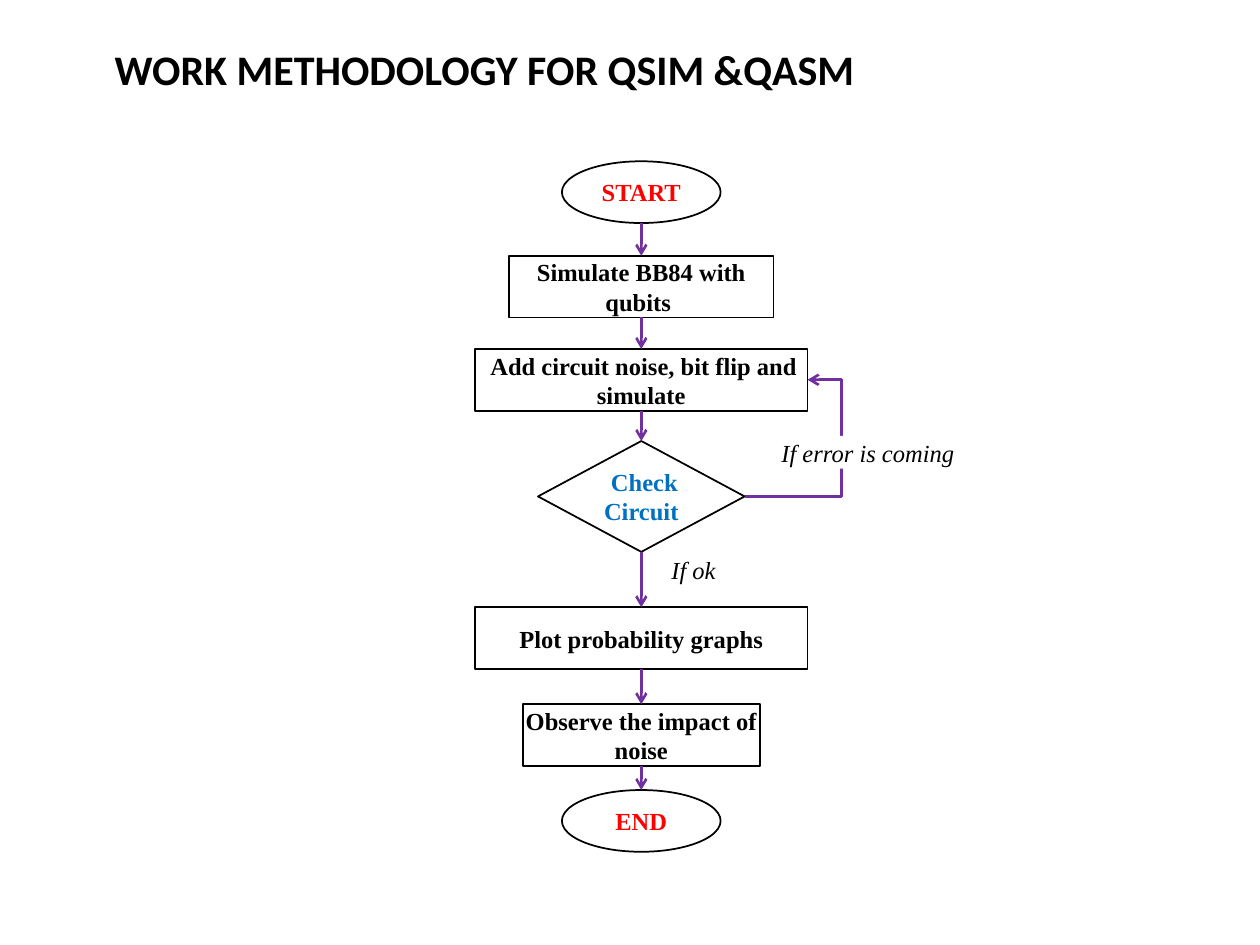
"""Build the work methodology flowchart slide."""
from dataclasses import dataclass
from itertools import pairwise

from lxml.etree import SubElement
from pptx import Presentation
from pptx.dml.color import RGBColor
from pptx.enum.shapes import MSO_CONNECTOR, MSO_SHAPE
from pptx.enum.text import MSO_ANCHOR, MSO_AUTO_SIZE, PP_ALIGN
from pptx.oxml.ns import qn
from pptx.shapes.autoshape import Shape
from pptx.shapes.connector import Connector
from pptx.slide import Slide
from pptx.text.text import TextFrame
from pptx.util import Inches, Pt

BLACK, WHITE, RED, BLUE, PURPLE = "000000", "FFFFFF", "FF0000", "0070C0", "7030A0"
CENTER = 5.09
TOP, LEFT, BOTTOM, RIGHT = range(4)


@dataclass(frozen=True)
class Step:
    """A step of the flowchart, centred on the main axis."""

    text: str
    top: float
    width: float
    height: float = 0.49
    kind: MSO_SHAPE = MSO_SHAPE.RECTANGLE
    color: str = BLACK


@dataclass(frozen=True)
class Label:
    """A caption beside a branch of the flowchart."""

    text: str
    left: float
    top: float
    width: float
    height: float
    fill: str | None = None


STEPS = [
    Step("START", 1.28, 1.26, kind=MSO_SHAPE.OVAL, color=RED),
    Step("Simulate BB84 with qubits ", 2.03, 2.1),
    Step(" Add circuit noise, bit flip and simulate", 2.77, 2.64),
    Step(" Check Circuit", 3.5, 1.64, 0.88, MSO_SHAPE.FLOWCHART_DECISION, BLUE),
    Step("Plot probability graphs", 4.82, 2.64),
    Step("Observe the impact of noise", 5.59, 1.88),
    Step("END", 6.27, 1.26, kind=MSO_SHAPE.OVAL, color=RED),
]
LABELS = [
    Label(" If ok", 5.09, 4.35, 0.78, 0.34),
    Label(" If error is coming", 5.7, 3.46, 2.33, 0.26, WHITE),
]


def rgb(color: str) -> RGBColor:
    """Turn a hex string into a colour."""
    return RGBColor.from_string(color)


def write_text(frame: TextFrame, text: str, color: str, bold: bool, italic: bool) -> None:
    """Write centred text without margins."""
    frame.text = text
    frame.word_wrap = True
    frame.vertical_anchor = MSO_ANCHOR.MIDDLE
    frame.margin_left = frame.margin_right = frame.margin_top = frame.margin_bottom = 0
    paragraph = frame.paragraphs[0]
    paragraph.alignment = PP_ALIGN.CENTER
    font = paragraph.font
    font.name, font.size, font.bold, font.italic = "Times New Roman", Pt(14), bold, italic
    font.color.rgb = rgb(color)


def add_title(slide: Slide, text: str) -> None:
    """Place and format the slide title."""
    title = slide.shapes.title
    title.left, title.top = Inches(0.81), Inches(0.37)
    title.width, title.height = Inches(8.41), Inches(0.4)
    frame = title.text_frame
    frame.text = text
    frame.auto_size = MSO_AUTO_SIZE.NONE
    frame.vertical_anchor = MSO_ANCHOR.MIDDLE
    paragraph = frame.paragraphs[0]
    paragraph.alignment = PP_ALIGN.LEFT
    paragraph.line_spacing = 0.9
    font = paragraph.font
    font.name, font.size, font.bold = "Calibri", Pt(24), True
    font.color.rgb = rgb(BLACK)


def add_step(slide: Slide, step: Step) -> Shape:
    """Draw one outlined step."""
    shape = slide.shapes.add_shape(
        step.kind, Inches(CENTER - step.width / 2), Inches(step.top),
        Inches(step.width), Inches(step.height))
    shape.shadow.inherit = False
    shape.fill.background()
    shape.line.color.rgb = rgb(BLACK)
    shape.line.width = Pt(1)
    write_text(shape.text_frame, step.text, step.color, bold=True, italic=False)
    return shape


def add_arrow(slide: Slide, kind: MSO_CONNECTOR, source: Shape, source_site: int,
              target: Shape, target_site: int) -> Connector:
    """Join two steps with an arrow."""
    arrow = slide.shapes.add_connector(kind, 0, 0, 0, 0)
    arrow.begin_connect(source, source_site)
    arrow.end_connect(target, target_site)
    arrow.line.color.rgb = rgb(PURPLE)
    arrow.line.width = Pt(1.5)
    SubElement(arrow.line._get_or_add_ln(), qn("a:tailEnd"), type="arrow")
    SubElement(arrow._element.spPr, qn("a:effectLst"))
    return arrow


def bend(arrow: Connector, ratio: float) -> None:
    """Move the middle leg of an elbow arrow."""
    guides = arrow._element.spPr.find(qn("a:prstGeom")).get_or_add_avLst()
    SubElement(guides, qn("a:gd"), name="adj1", fmla=f"val {round(ratio * 100000)}")


def add_label(slide: Slide, label: Label) -> None:
    """Write one branch caption."""
    box = slide.shapes.add_textbox(
        Inches(label.left), Inches(label.top), Inches(label.width), Inches(label.height))
    if label.fill:
        box.fill.solid()
        box.fill.fore_color.rgb = rgb(label.fill)
    write_text(box.text_frame, label.text, BLACK, bold=False, italic=True)


def main() -> None:
    """Build and save the presentation."""
    presentation = Presentation()
    presentation.slide_width, presentation.slide_height = Inches(10), Inches(7.5)
    slide = presentation.slides.add_slide(presentation.slide_layouts[5])
    add_title(slide, "WORK METHODOLOGY FOR QSIM &QASM")
    shapes = [add_step(slide, step) for step in STEPS]
    for upper, lower in pairwise(shapes):
        add_arrow(slide, MSO_CONNECTOR.STRAIGHT, upper, BOTTOM, lower, TOP)
    noise, check = shapes[2:4]
    retry = add_arrow(slide, MSO_CONNECTOR.ELBOW, check, RIGHT, noise, RIGHT)
    bend(retry, 1.54)
    for label in LABELS:
        add_label(slide, label)
    presentation.save("out.pptx")


main()
